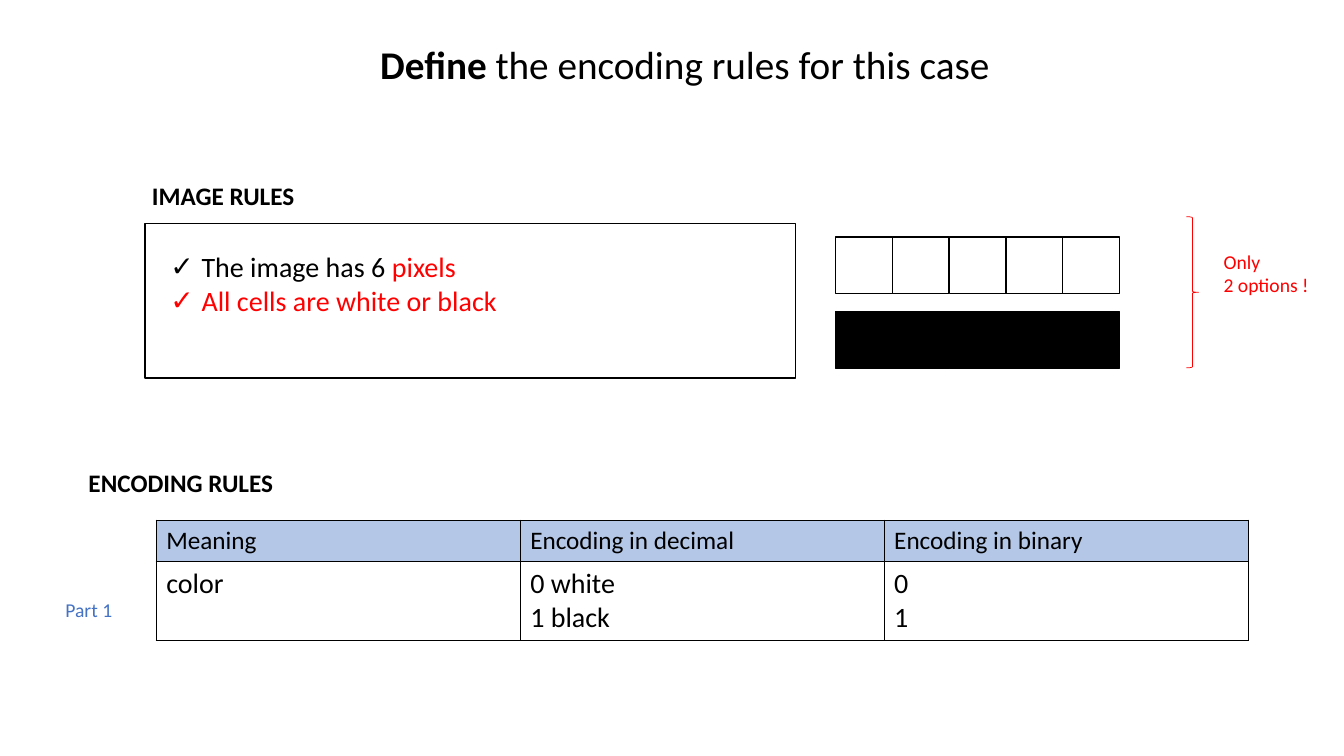
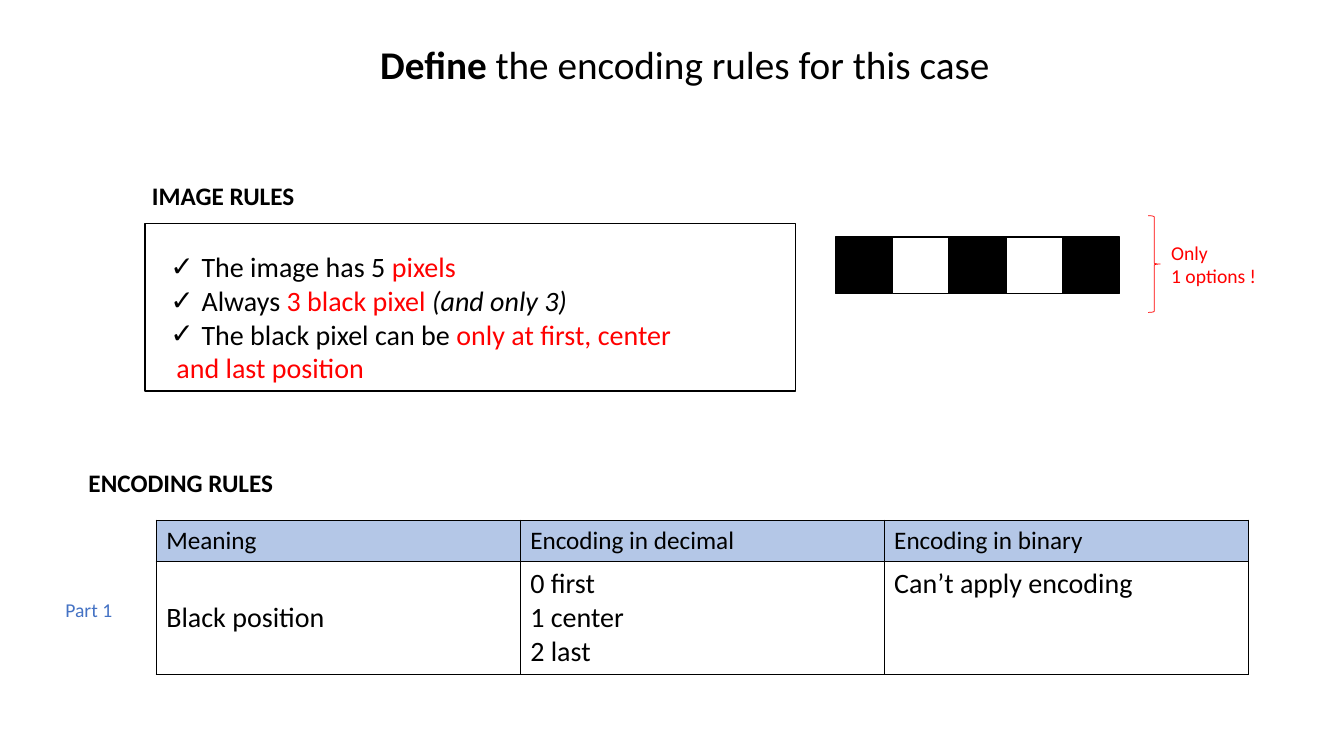
from dataclasses import dataclass

from lxml import etree
from pptx import Presentation, util as u
from pptx.dml.color import RGBColor
from pptx.enum import shapes, text
from pptx.oxml import ns

COLUMNS, ROWS = 80, 45  # square grid over a 16:9 slide
PIXEL = 3.38
PIXEL_LEFT, PIXEL_TOP, PIXEL_PITCH = 49.74, 14.1, 4.44


@dataclass(frozen=True)
class Theme:
    font: str = "Calibri"
    black: str = "000000"
    white: str = "FFFFFF"
    accent: str = "FF0000"
    blue: str = "4472C4"
    header: str = "B4C7E7"
    title: int = 28
    body: int = 20
    label: int = 18
    note: int = 14
    outline: float = 1
    thin: float = 0.5


THEME = Theme()
RED = {"color": THEME.accent}


def child(parent, tag, **attributes):
    return etree.SubElement(parent, ns.qn(tag), attributes)


def write(frame, paragraphs, size=THEME.body, color=THEME.black, bold=False,
          align=text.PP_ALIGN.LEFT):
    """Each paragraph is a string or a list of strings and (string, format) pairs."""
    for index, spans in enumerate(paragraphs):
        para = frame.paragraphs[0] if index == 0 else frame.add_paragraph()
        para.alignment = align
        para.space_before = u.Pt(0)
        for item in [spans] if isinstance(spans, str) else spans:
            words, changes = (item, {}) if isinstance(item, str) else item
            style = {"color": color, "bold": bold, "italic": False, **changes}
            span = para.add_run()
            span.text = words
            span.font.name, span.font.size = THEME.font, u.Pt(size)
            span.font.bold, span.font.italic = style["bold"], style["italic"]
            span.font.color.rgb = RGBColor.from_string(style["color"])


class RulesDeck:
    def __init__(self):
        self.deck = Presentation()
        self.deck.slide_width, self.deck.slide_height = u.Inches(13.333), u.Inches(7.5)
        self.page = None

    def grid(self, left, top, width, height):
        column, row = self.deck.slide_width / COLUMNS, self.deck.slide_height / ROWS
        return [round(n * step) for n, step in
                zip((left, top, width, height), (column, row, column, row))]

    def new_page(self):
        self.page = self.deck.slides.add_slide(self.deck.slide_layouts[1])

    def place(self, holder, *area):
        holder.left, holder.top, holder.width, holder.height = self.grid(*area)
        frame = holder.text_frame
        frame.word_wrap = True
        frame.auto_size = text.MSO_AUTO_SIZE.NONE
        frame.vertical_anchor = text.MSO_ANCHOR.TOP
        return frame

    def title(self, spans, *area):
        frame = self.place(self.page.shapes.title, *area)
        write(frame, [spans], size=THEME.title, align=text.PP_ALIGN.CENTER)

    def checklist(self, items, tail, *area):
        frame = self.place(self.page.placeholders[1], *area)
        write(frame, items + tail)
        for index, para in enumerate(frame.paragraphs):
            checked = index < len(items)
            properties = para._p.get_or_add_pPr()
            margin = u.Inches(0.31 if checked else 0.06)
            properties.set("marL", str(margin))
            properties.set("indent", str(-margin if checked else 0))
            if checked:
                child(properties, "a:buChar", char="✓")
            else:
                child(properties, "a:buNone")

    def label(self, lines, *area, **style):
        box = self.page.shapes.add_textbox(*self.grid(*area))
        box.text_frame.word_wrap = False
        box.text_frame.auto_size = text.MSO_AUTO_SIZE.SHAPE_TO_FIT_TEXT
        write(box.text_frame, lines, **style)

    def shape(self, kind, *area, fill=None, line=THEME.black, weight=THEME.outline):
        shape = self.page.shapes.add_shape(kind, *self.grid(*area))
        shape.shadow.inherit = False
        if fill:
            shape.fill.solid()
            shape.fill.fore_color.rgb = RGBColor.from_string(fill)
        else:
            shape.fill.background()
        shape.line.color.rgb = RGBColor.from_string(line)
        shape.line.width = u.Pt(weight)

    def pixels(self, rows):
        """Draw strips of cells: W is white, B is black."""
        fills = {"W": THEME.white, "B": THEME.black}
        for row, cells in enumerate(rows):
            for column, code in enumerate(cells):
                self.shape(shapes.MSO_SHAPE.RECTANGLE, PIXEL_LEFT + column * PIXEL,
                           PIXEL_TOP + row * PIXEL_PITCH, PIXEL, PIXEL, fill=fills[code])

    def brace(self, *area):
        self.shape(shapes.MSO_SHAPE.RIGHT_BRACE, *area,
                   line=THEME.accent, weight=THEME.thin)

    def table(self, header, body, left, top, width, heights):
        area = self.grid(left, top, width, sum(heights))
        table = self.page.shapes.add_table(2, len(header), *area).table
        table.first_row = table.horz_banding = False
        rows = [([[name] for name in header], THEME.label, THEME.header),
                (body, THEME.body, THEME.white)]
        for r, (contents, size, fill) in enumerate(rows):
            table.rows[r].height = self.grid(0, 0, 0, heights[r])[3]
            for c, lines in enumerate(contents):
                cell = table.cell(r, c)
                self.border(cell)
                cell.fill.solid()
                cell.fill.fore_color.rgb = RGBColor.from_string(fill)
                write(cell.text_frame, lines, size=size)
        return table

    def border(self, cell):
        properties = cell._tc.get_or_add_tcPr()
        for side in "LRTB":
            line = child(properties, f"a:ln{side}", w=str(u.Pt(THEME.outline)))
            child(child(line, "a:solidFill"), "a:srgbClr", val=THEME.black)

    def rules_page(self, items, tail, list_height, frame_height, strips, brace, note,
                   note_at, meanings, body_height):
        self.new_page()
        # Encoding table with its labels
        table = self.table(["Meaning", "Encoding in decimal", "Encoding in binary"],
                           meanings, 9.3, 30.96, 65, [2.46, body_height])
        table.cell(1, 0).vertical_anchor = (
            text.MSO_ANCHOR.MIDDLE if len(meanings[1]) > 2 else text.MSO_ANCHOR.TOP)
        self.label(["Part 1"], 3.3, 35.28, 4, 2.04, size=THEME.note, color=THEME.blue)
        self.label(["ENCODING RULES"], 4.68, 27.54, 12.36, 2.4,
                   size=THEME.label, bold=True)
        # Title and image rules
        self.title([("Define", {"bold": True}), " the encoding rules for this case"],
                   18, 2.1, 45.54, 3.42)
        self.checklist(items, tail, 9.54, 14.58, 36, list_height)
        self.label(["IMAGE RULES"], 8.46, 10.44, 9.78, 2.4, size=THEME.label, bold=True)
        self.shape(shapes.MSO_SHAPE.RECTANGLE, 8.64, 13.32, 38.7, frame_height)
        # Pixel strips and the number of options
        self.pixels(strips)
        self.brace(*brace)
        self.label(["Only", note], *note_at, 6.3, 3.42,
                   size=THEME.note, color=THEME.accent)


def main():
    rules = RulesDeck()
    rules.rules_page(
        items=[["The image has 6 ", ("pixels", RED)],
               [("All cells are white or black", RED)]],
        tail=[], list_height=4.62, frame_height=9.18,
        strips=["WWWWW", "BBBBB"], brace=(70.62, 12.9, 0.72, 9),
        note="2 options !", note_at=(72.24, 14.58),
        meanings=[["color"], ["0 white", "1 black"], ["0", "1"]], body_height=4.68)
    rules.rules_page(
        items=[["The image has 5 ", ("pixels", RED)],
               ["Always ", ("3 black pixel ", RED), ("(and only 3)", {"italic": True})],
               ["The black pixel can be ", ("only at first, center", RED)]],
        tail=[[("and last position", RED)]], list_height=8.7, frame_height=9.96,
        strips=["BWBWB"], brace=(68.34, 12.84, 0.72, 5.76),
        note="1 options !", note_at=(69.12, 14.04),
        meanings=[["Black position"], ["0 first", "1 center", "2 last"],
                  ["Can’t apply encoding"]], body_height=6.7)
    rules.deck.save("out.pptx")


if __name__ == "__main__":
    main()
